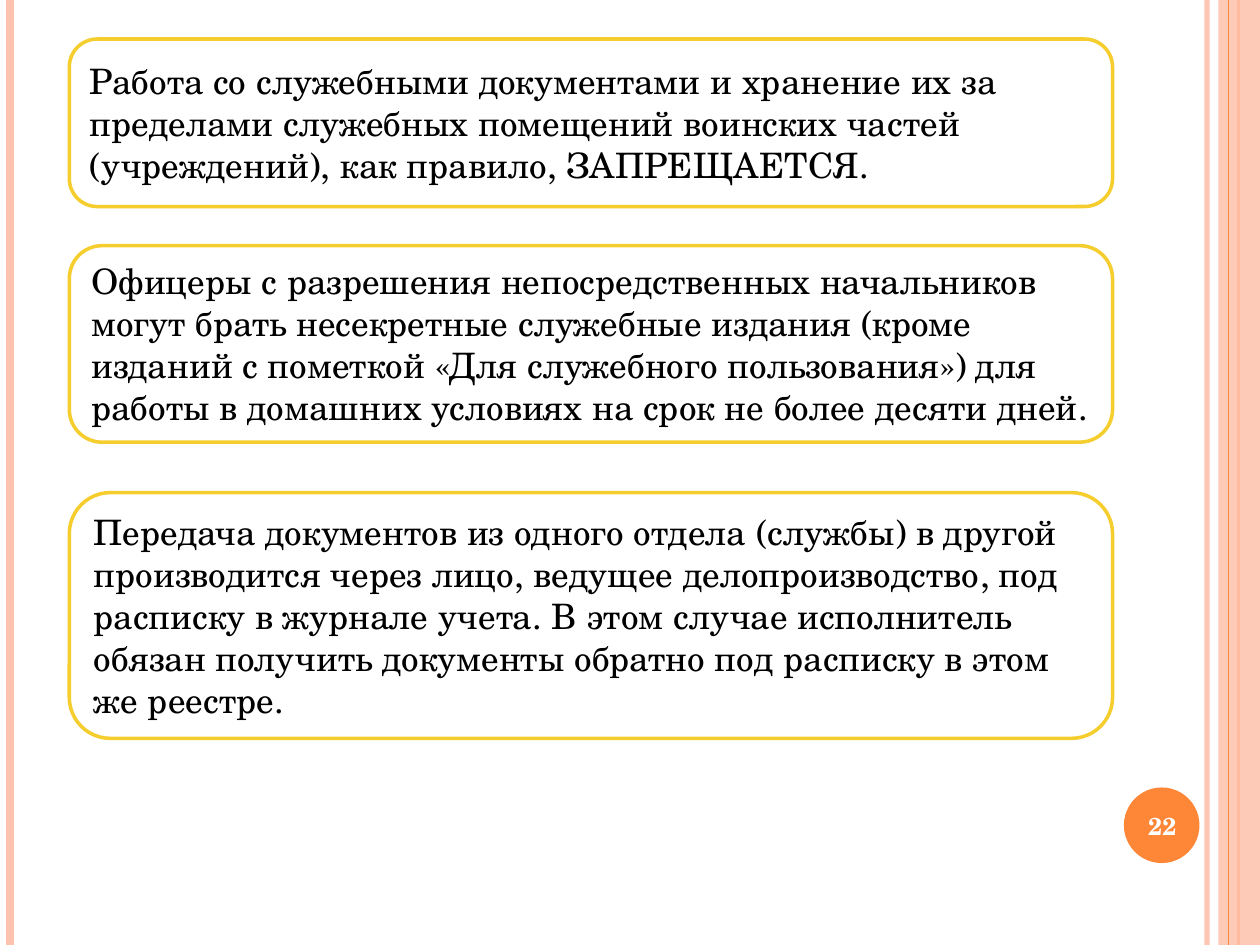
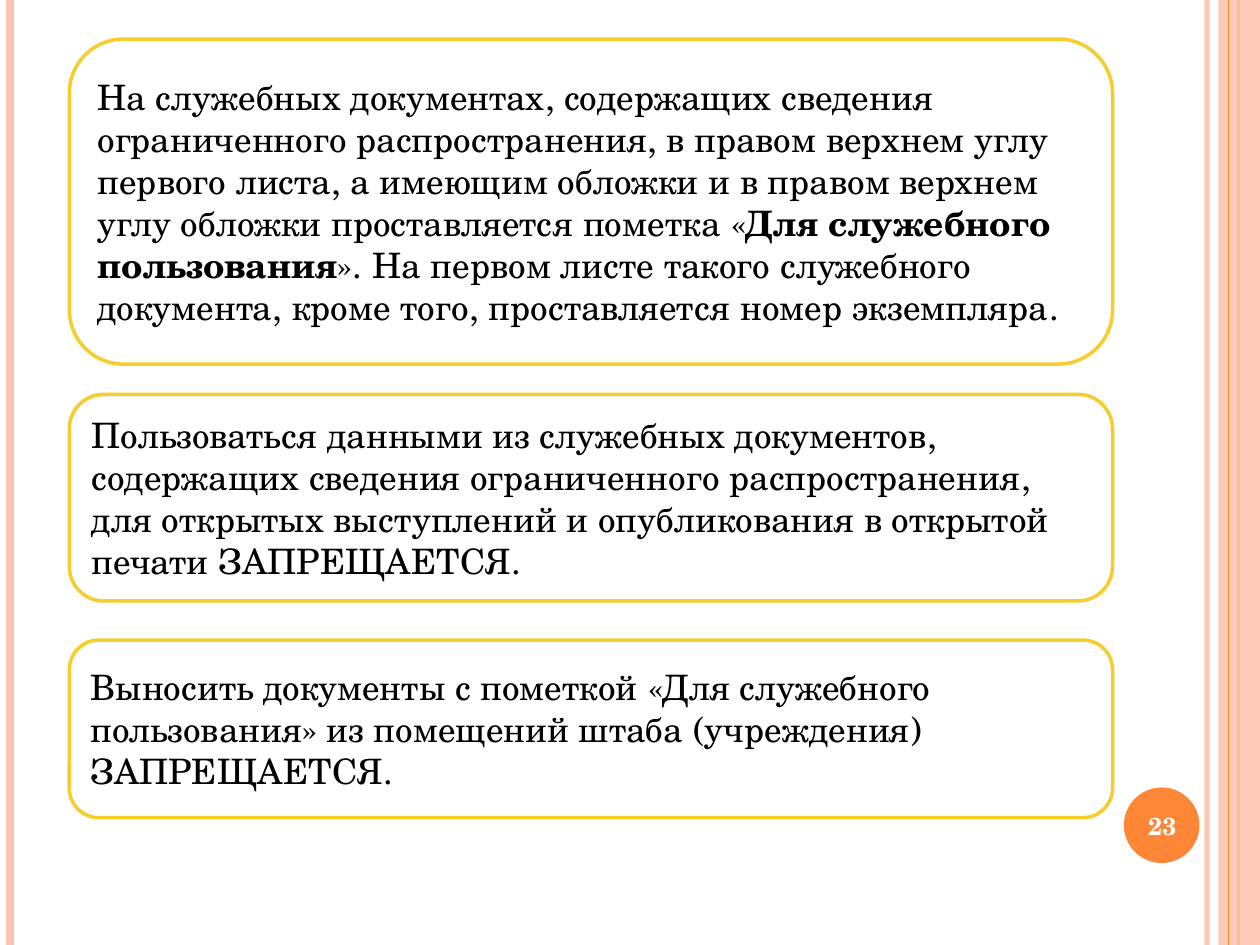
from pptx import Presentation
from pptx.dml.color import RGBColor
from pptx.enum.shapes import MSO_CONNECTOR, MSO_SHAPE
from pptx.enum.text import MSO_ANCHOR, PP_ALIGN
from pptx.oxml.ns import qn
from pptx.util import Inches, Pt
from lxml.etree import SubElement

PEACH = "FEC3AE"
ORANGE = "FE8637"
YELLOW = "F5CD2D"
WHITE = "FFFFFF"
BLACK = "000000"


def color(hex_code):
    return RGBColor.from_string(hex_code)


def set_opacity(fill_parent, percent):
    tone = next(fill_parent.iter(qn("a:srgbClr")))
    SubElement(tone, qn("a:alpha"), val=str(percent * 1000))


class Deck:
    font = "TeX Gyre Schola"
    rule_left, rule_width = 0.55, 8.28

    def __init__(self):
        self.presentation = Presentation()
        self.presentation.slide_width = Inches(10)
        self.presentation.slide_height = Inches(7.5)
        self.slide = None

    def start_slide(self, number):
        blank = self.presentation.slide_layouts[6]
        self.slide = self.presentation.slides.add_slide(blank)
        background = self.slide.background.fill
        background.solid()
        background.fore_color.rgb = color(WHITE)
        self.stripe(9.58, PEACH, 3, 93)
        self.stripe(0.08, PEACH, 4.5)
        self.stripe(9.83, ORANGE, 1.5)
        self.block(MSO_SHAPE.RECTANGLE, 9.67, 0, 0.33, 7.5, PEACH, opacity=87)
        self.stripe(9.75, ORANGE, 0.75)
        self.block(MSO_SHAPE.OVAL, 8.92, 6.25, 0.6, 0.6, ORANGE)
        self.page_number(number)

    def stripe(self, x, tone, weight, opacity=100):
        stripe = self.slide.shapes.add_connector(
            MSO_CONNECTOR.STRAIGHT, Inches(x), 0, Inches(x), Inches(7.5))
        stripe.line.color.rgb = color(tone)
        stripe.line.width = Pt(weight)
        properties = stripe._element.spPr
        if opacity < 100:
            set_opacity(properties, opacity)
        SubElement(properties, qn("a:effectLst"))

    def block(self, preset, left, top, width, height, tone, outline=None, opacity=100):
        block = self.slide.shapes.add_shape(
            preset, Inches(left), Inches(top), Inches(width), Inches(height))
        block.shadow.inherit = False
        block.fill.solid()
        block.fill.fore_color.rgb = color(tone)
        if opacity < 100:
            set_opacity(block._element.spPr, opacity)
        if outline:
            block.line.color.rgb = color(outline)
            block.line.width = Pt(2)
        else:
            block.line.fill.background()
        return block

    def add_text(self, frame, runs, size, tone, alignment):
        frame.word_wrap = True
        frame.vertical_anchor = MSO_ANCHOR.MIDDLE
        paragraph = frame.paragraphs[0]
        paragraph.alignment = alignment
        for wording, bold in runs:
            run = paragraph.add_run()
            run.text = wording
            run.font.name = self.font
            run.font.size = Pt(size)
            run.font.bold = bold
            run.font.color.rgb = color(tone)

    def page_number(self, number):
        label = self.slide.shapes.add_textbox(
            Inches(8.89), Inches(6.27), Inches(0.67), Inches(0.57))
        self.add_text(label.text_frame, [(str(number), True)], 14, WHITE, PP_ALIGN.CENTER)

    def rule(self, top, height, runs):
        card = self.block(MSO_SHAPE.ROUNDED_RECTANGLE, self.rule_left, top,
                          self.rule_width, height, WHITE, outline=YELLOW)
        self.add_text(card.text_frame, runs, 20, BLACK, PP_ALIGN.LEFT)


handling_rules = [
    (0.31, 1.33, [(
        "Работа со служебными документами и хранение их за пределами служебных "
        "помещений воинских частей (учреждений), как правило, ЗАПРЕЩАЕТСЯ.", False)]),
    (1.95, 1.56, [(
        "Офицеры с разрешения непосредственных начальников могут брать несекретные "
        "служебные издания (кроме изданий с пометкой «Для служебного пользования») "
        "для работы в домашних условиях на срок не более десяти дней.", False)]),
    (3.91, 1.95, [(
        "Передача документов из одного отдела (службы) в другой производится через "
        "лицо, ведущее делопроизводство, под расписку в журнале учета. В этом случае "
        "исполнитель обязан получить документы обратно под расписку в этом же "
        "реестре.", False)]),
]
restricted_rules = [
    (0.31, 2.58, [
        ("На служебных документах, содержащих сведения ограниченного распространения, "
         "в правом верхнем углу первого листа, а имеющим обложки и в правом верхнем "
         "углу обложки проставляется пометка «", False),
        ("Для служебного пользования", True),
        ("». На первом листе такого служебного документа, кроме того, проставляется "
         "номер экземпляра.", False)]),
    (3.13, 1.64, [(
        "Пользоваться данными из служебных документов, содержащих сведения "
        "ограниченного распространения, для открытых выступлений и опубликования "
        "в открытой печати ЗАПРЕЩАЕТСЯ.", False)]),
    (5.08, 1.41, [(
        "Выносить документы с пометкой «Для служебного пользования» из помещений "
        "штаба (учреждения) ЗАПРЕЩАЕТСЯ.", False)]),
]

deck = Deck()
for number, rules in enumerate([handling_rules, restricted_rules], start=22):
    deck.start_slide(number)
    for top, height, runs in rules:
        deck.rule(top, height, runs)
deck.presentation.save("out.pptx")
